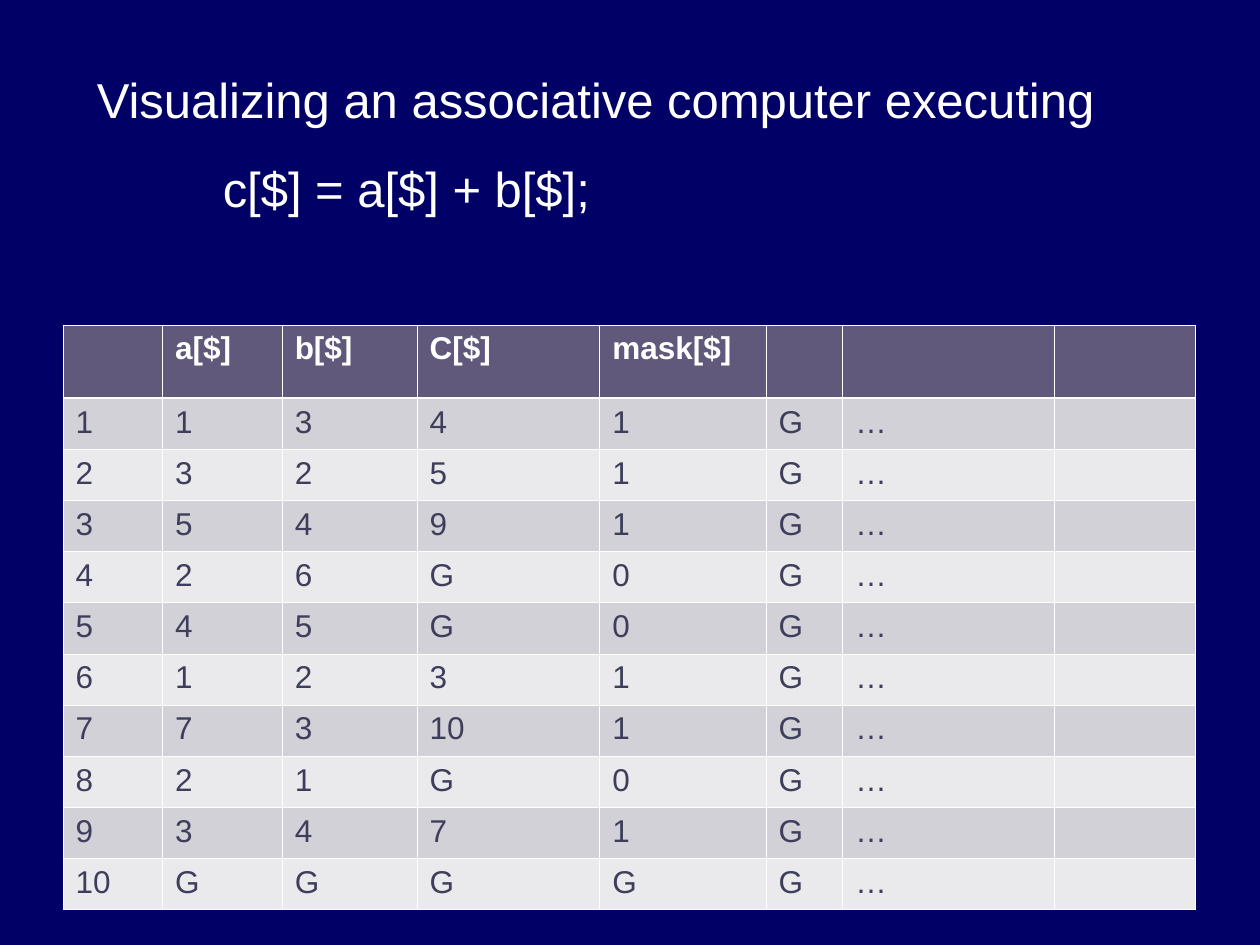
from dataclasses import dataclass

import pptx
import pptx.dml.color
import pptx.enum.text
import pptx.oxml.ns
import pptx.util
from lxml import etree
from pptx.util import Inches

COLOURS = {
    "background": "000066",
    "white": "FFFFFF",
    "header": "60597B",
    "odd": "D2D1D7",
    "even": "EAEAEC",
    "body": "3E3E5C",
}
FONT = "Arial"
THIN, THICK = 0.45, 1.47
COLUMN_WIDTHS = (0.79, 0.95, 1.07, 1.45, 1.32, 0.61, 1.68, 1.12)
HEADER_HEIGHT, ROW_HEIGHT = 0.58, 0.406
HEADINGS = ("", "a[$]", "b[$]", "C[$]", "mask[$]", "", "", "")
VALUES = (
    "1 3 4 1",
    "3 2 5 1",
    "5 4 9 1",
    "2 6 G 0",
    "4 5 G 0",
    "1 2 3 1",
    "7 3 10 1",
    "2 1 G 0",
    "3 4 7 1",
    "G G G G",
)


@dataclass(frozen=True)
class RowStyle:
    fill: str
    text: str
    bold: bool
    top: float
    bottom: float


def colour(name: str) -> pptx.dml.color.RGBColor:
    return pptx.dml.color.RGBColor.from_string(COLOURS[name])


def format_font(font, size: int, text_colour: str, bold: bool = False) -> None:
    font.name = FONT
    font.size = pptx.util.Pt(size)
    font.bold = bold
    font.color.rgb = colour(text_colour)


def add_border(cell, side: str, width: float) -> None:
    qn = pptx.oxml.ns.qn
    properties = cell._tc.get_or_add_tcPr()
    line = etree.SubElement(properties, qn(f"a:ln{side}"), w=str(pptx.util.Pt(width)))
    fill = etree.SubElement(line, qn("a:solidFill"))
    etree.SubElement(fill, qn("a:srgbClr"), val=COLOURS["white"])


def fill_cell(cell, text: str, style: RowStyle) -> None:
    widths = {"L": THIN, "R": THIN, "T": style.top, "B": style.bottom}
    for side, width in widths.items():
        add_border(cell, side, width)
    cell.fill.solid()
    cell.fill.fore_color.rgb = colour(style.fill)
    paragraph = cell.text_frame.paragraphs[0]
    paragraph.text = text
    format_font(paragraph.font, 18, style.text, style.bold)
    for run in paragraph.runs:
        format_font(run.font, 18, style.text, style.bold)


def row_style(index: int) -> RowStyle:
    if index == 0:
        return RowStyle("header", "white", True, THIN, THICK)
    fill = "odd" if index % 2 else "even"
    return RowStyle(fill, "body", False, THICK if index == 1 else THIN, THIN)


def add_memory_table(slide) -> None:
    rows = [HEADINGS]
    for number, values in enumerate(VALUES, start=1):
        rows.append((str(number), *values.split(), "G", "…", ""))
    height = HEADER_HEIGHT + ROW_HEIGHT * len(VALUES)
    table = slide.shapes.add_table(
        len(rows), len(COLUMN_WIDTHS),
        Inches(0.5), Inches(2.58), Inches(sum(COLUMN_WIDTHS)), Inches(height),
    ).table
    for column, width in zip(table.columns, COLUMN_WIDTHS):
        column.width = Inches(width)
    for index, texts in enumerate(rows):
        table.rows[index].height = Inches(ROW_HEIGHT if index else HEADER_HEIGHT)
        for column_index, text in enumerate(texts):
            fill_cell(table.cell(index, column_index), text, row_style(index))


def add_heading(slide) -> None:
    shape = slide.shapes.add_textbox(Inches(0.67), Inches(0.5), Inches(8.67), Inches(1.28))
    text_frame = shape.text_frame
    text_frame.word_wrap = True
    text_frame.vertical_anchor = pptx.enum.text.MSO_ANCHOR.MIDDLE
    text_frame.text = "Visualizing an associative computer executing\nc[$] = a[$] + b[$];"
    statement = text_frame.paragraphs[1]
    statement.space_before = pptx.util.Pt(17.5)
    statement._p.get_or_add_pPr().set("marL", str(Inches(1)))
    for paragraph in text_frame.paragraphs:
        for run in paragraph.runs:
            format_font(run.font, 28, "white")


def main() -> None:
    presentation = pptx.Presentation()
    presentation.slide_width = Inches(10)
    presentation.slide_height = Inches(7.5)
    slide = presentation.slides.add_slide(presentation.slide_layouts[6])
    slide.background.fill.solid()
    slide.background.fill.fore_color.rgb = colour("background")
    add_memory_table(slide)
    add_heading(slide)
    presentation.save("out.pptx")


if __name__ == "__main__":
    main()
